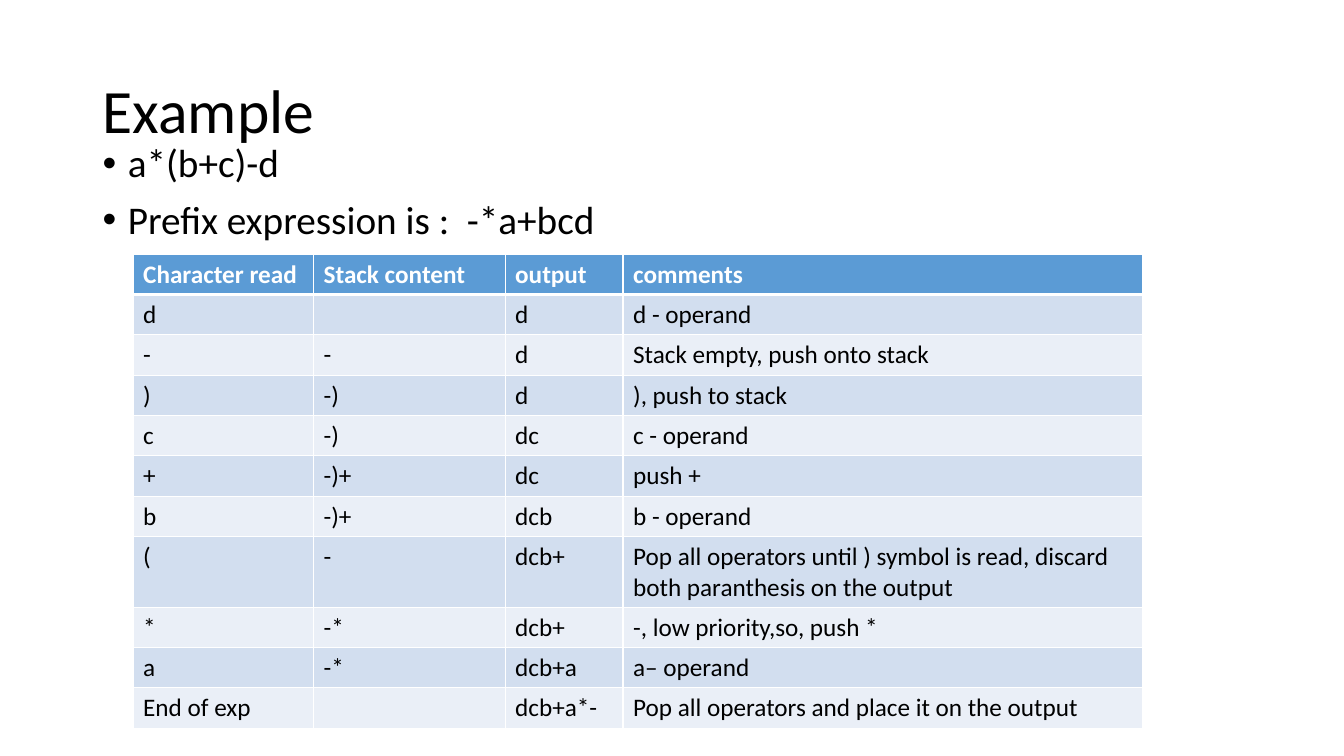
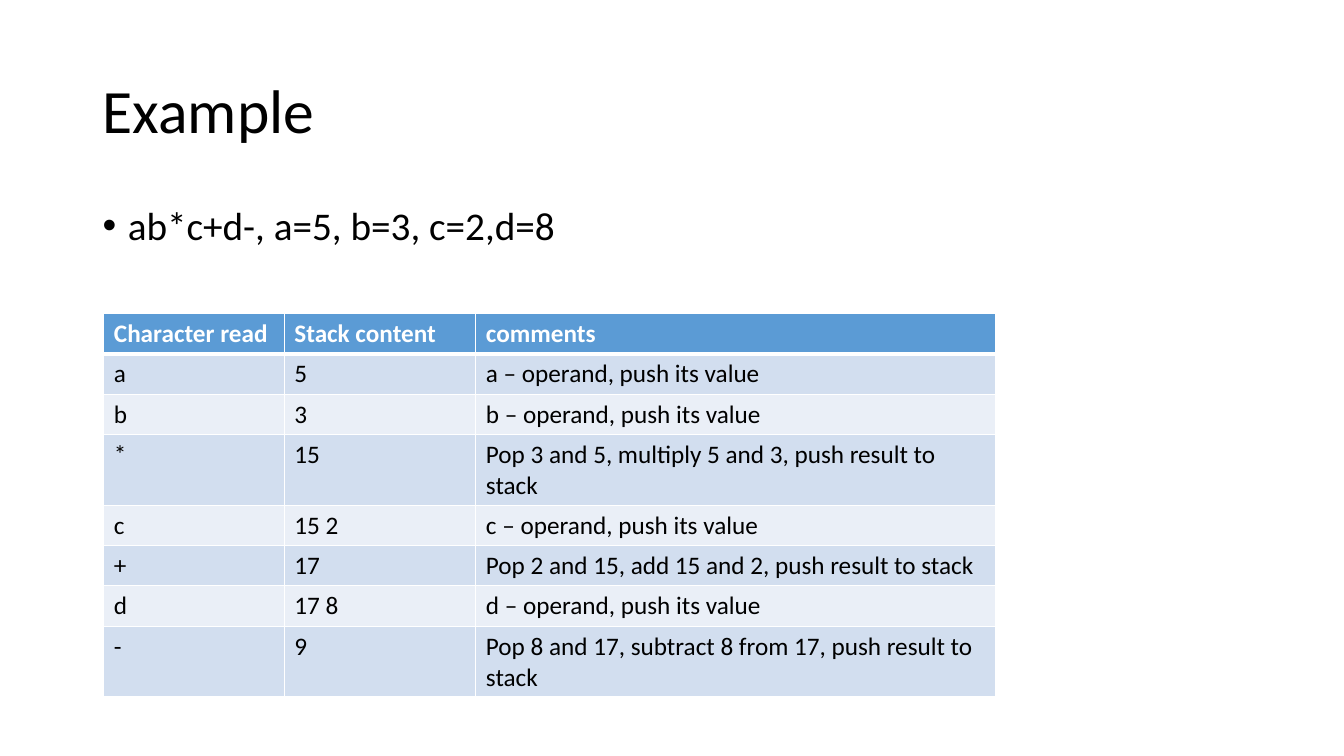
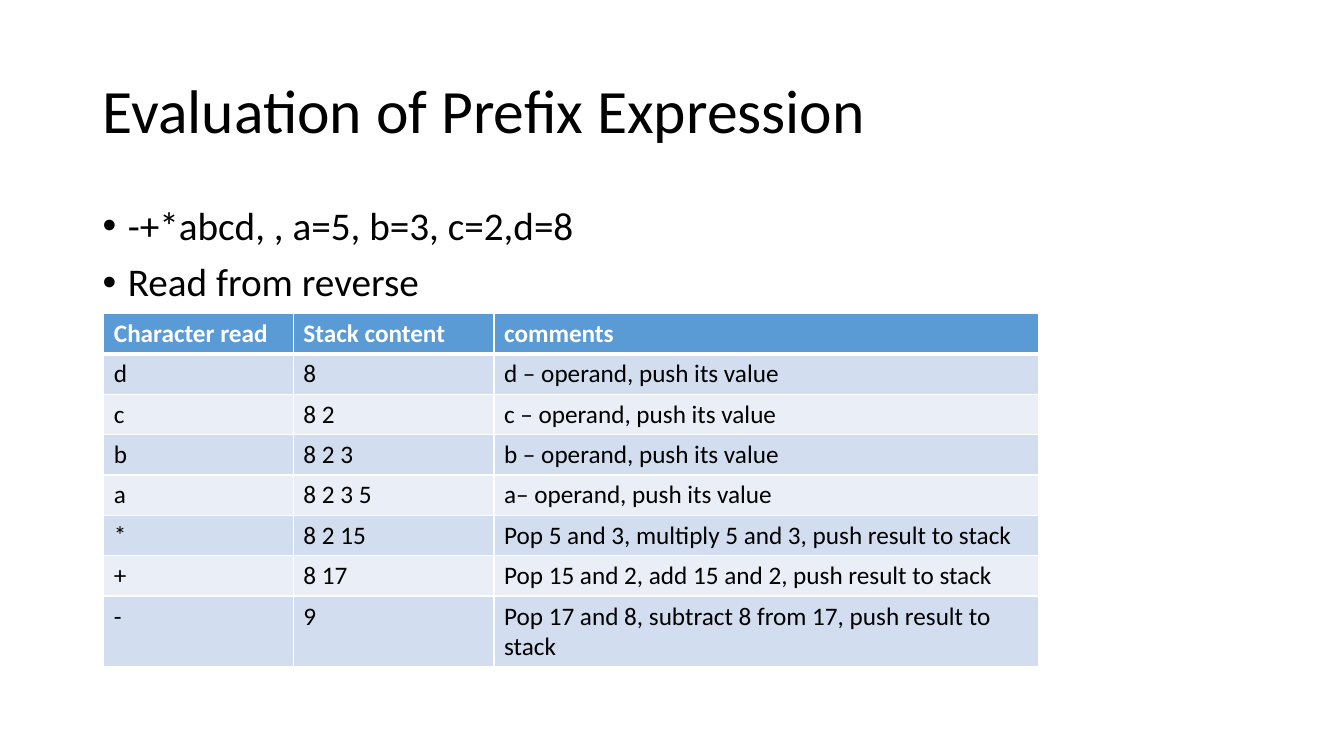
"""Build three slides that trace prefix and postfix expressions with a stack."""
import dataclasses

import lxml.etree
import pptx
import pptx.dml.color
import pptx.enum.text
import pptx.oxml.ns
import pptx.util

Inches = pptx.util.Inches

FONT = "Calibri"
BLACK, WHITE = "000000", "FFFFFF"
HEADER_FILL = "5B9BD5"
BAND_FILLS = ("D2DEEF", "EAEFF7")
TEXT_LEFT, TEXT_WIDTH = 0.92, 11.5
TITLE_TOP, TITLE_HEIGHT = 0.4, 1.45
BODY_BOTTOM = 6.75
ROW_HEIGHT = 0.4
BULLET_INDENT = 0.25


@dataclasses.dataclass(frozen=True)
class Trace:
    """A title, its bullets and the table of steps below them."""
    title: str
    bullets: tuple[str, ...]
    body_top: float
    table_left: float
    table_top: float
    column_widths: tuple[float, ...]
    rows: tuple[tuple[str, ...], ...]


TRACES = (
    Trace(
        "Example", ("a*(b+c)-d", "Prefix expression is :  -*a+bcd"),
        1.38, 1.32, 2.52, (1.79, 1.9, 1.17, 5.15),
        (
            ("Character read", "Stack content", "output", "comments"),
            ("d", "", "d", "d - operand"),
            ("-", "-", "d", "Stack empty, push onto stack"),
            (")", "-)", "d", "), push to stack"),
            ("c", "-)", "dc", "c - operand"),
            ("+", "-)+", "dc", "push +"),
            ("b", "-)+", "dcb", "b - operand"),
            ("(", "-", "dcb+", "Pop all operators until ) symbol is read, "
             "discard both paranthesis on the output"),
            ("*", "-*", "dcb+", "-, low priority,so, push *"),
            ("a", "-*", "dcb+a", "a– operand"),
            ("End of exp", "", "dcb+a*-", "Pop all operators and place it on the output"),
        ),
    ),
    Trace(
        "Example", ("ab*c+d-, a=5, b=3, c=2,d=8",),
        2, 1.03, 3.11, (1.79, 1.9, 5.15),
        (
            ("Character read", "Stack content", "comments"),
            ("a", "5", "a – operand, push its value"),
            ("b", "3", "b – operand, push its value"),
            ("*", "15", "Pop 3 and 5, multiply 5 and 3, push result to stack"),
            ("c", "15 2", "c – operand, push its value"),
            ("+", "17", "Pop 2 and 15, add 15 and 2, push result to stack"),
            ("d", "17 8", "d – operand, push its value"),
            ("-", "9", "Pop 8 and 17, subtract 8 from 17, push result to stack"),
        ),
    ),
    Trace(
        "Evaluation of Prefix Expression",
        ("-+*abcd, , a=5, b=3, c=2,d=8", "Read from reverse"),
        2, 1.03, 3.11, (1.88, 1.99, 5.4),
        (
            ("Character read", "Stack content", "comments"),
            ("d", "8", "d – operand, push its value"),
            ("c", "8 2", "c – operand, push its value"),
            ("b", "8 2 3", "b – operand, push its value"),
            ("a", "8 2 3 5", "a– operand, push its value"),
            ("*", "8 2 15", "Pop 5 and 3, multiply 5 and 3, push result to stack"),
            ("+", "8 17", "Pop 15 and 2, add 15 and 2, push result to stack"),
            ("-", "9", "Pop 17 and 8, subtract 8 from 17, push result to stack"),
        ),
    ),
)


def color(value: str) -> pptx.dml.color.RGBColor:
    """Turn a hex string into a colour."""
    return pptx.dml.color.RGBColor.from_string(value)


def add_element(parent, tag: str, **attributes: str):
    """Append a DrawingML element."""
    return lxml.etree.SubElement(parent, pptx.oxml.ns.qn(f"a:{tag}"), attributes)


def write_text(paragraph, text: str, *, size: float, fill: str = BLACK, bold: bool = False,
               bullet: bool = False, line_spacing: float = 1, space_before: float = 0) -> None:
    """Write one formatted paragraph."""
    paragraph.line_spacing = line_spacing
    paragraph.space_before = pptx.util.Pt(space_before)
    if bullet:
        properties = paragraph._p.get_or_add_pPr()
        indent = Inches(BULLET_INDENT)
        properties.set("marL", str(indent))
        properties.set("indent", str(-indent))
        add_element(properties, "buFont", typeface="Arial")
        add_element(properties, "buChar", char="•")
    paragraph.text = text
    for font in (paragraph.font, *(run.font for run in paragraph.runs)):
        font.name = FONT
        font.size = pptx.util.Pt(size)
        font.bold = bold
        font.color.rgb = color(fill)


def add_text(slide, lines: tuple[str, ...], top: float, height: float, *, size: float,
             bullet: bool = False, anchor=pptx.enum.text.MSO_ANCHOR.TOP) -> None:
    """Add a text box across the content width."""
    shape = slide.shapes.add_textbox(
        Inches(TEXT_LEFT), Inches(top), Inches(TEXT_WIDTH), Inches(height))
    frame = shape.text_frame
    frame.word_wrap = True
    frame.vertical_anchor = anchor
    for index, line in enumerate(lines):
        paragraph = frame.add_paragraph() if index else frame.paragraphs[0]
        write_text(paragraph, line, size=size, bullet=bullet, line_spacing=0.9,
                   space_before=10 if index else 0)


def add_borders(cell, top: float, bottom: float) -> None:
    """Draw white borders round a cell, with widths in points."""
    properties = cell._tc.get_or_add_tcPr()
    for tag, width in (("lnL", 1), ("lnR", 1), ("lnT", top), ("lnB", bottom)):
        line = add_element(properties, tag, w=str(pptx.util.Pt(width)))
        add_element(add_element(line, "solidFill"), "srgbClr", val=WHITE)


def add_trace_table(slide, trace: Trace) -> None:
    """Add the banded table of steps."""
    table = slide.shapes.add_table(
        len(trace.rows), len(trace.column_widths),
        Inches(trace.table_left), Inches(trace.table_top),
        Inches(sum(trace.column_widths)), Inches(ROW_HEIGHT * len(trace.rows))).table
    for column, width in zip(table.columns, trace.column_widths):
        column.width = Inches(width)
    for row_index, values in enumerate(trace.rows):
        header = row_index == 0
        table.rows[row_index].height = Inches(ROW_HEIGHT)
        for column_index, value in enumerate(values):
            cell = table.cell(row_index, column_index)
            add_borders(cell, top=3 if row_index == 1 else 1, bottom=3 if header else 1)
            cell.fill.solid()
            cell.fill.fore_color.rgb = color(
                HEADER_FILL if header else BAND_FILLS[(row_index - 1) % 2])
            write_text(cell.text_frame.paragraphs[0], value, size=18,
                       fill=WHITE if header else BLACK, bold=header)


def main() -> None:
    """Build and save the presentation."""
    presentation = pptx.Presentation()
    presentation.slide_width, presentation.slide_height = Inches(13.33), Inches(7.5)
    for trace in TRACES:
        slide = presentation.slides.add_slide(presentation.slide_layouts[6])
        add_text(slide, (trace.title,), TITLE_TOP, TITLE_HEIGHT, size=44,
                 anchor=pptx.enum.text.MSO_ANCHOR.MIDDLE)
        add_text(slide, trace.bullets, trace.body_top, BODY_BOTTOM - trace.body_top,
                 size=28, bullet=True)
        add_trace_table(slide, trace)
    presentation.save("out.pptx")


if __name__ == "__main__":
    main()
